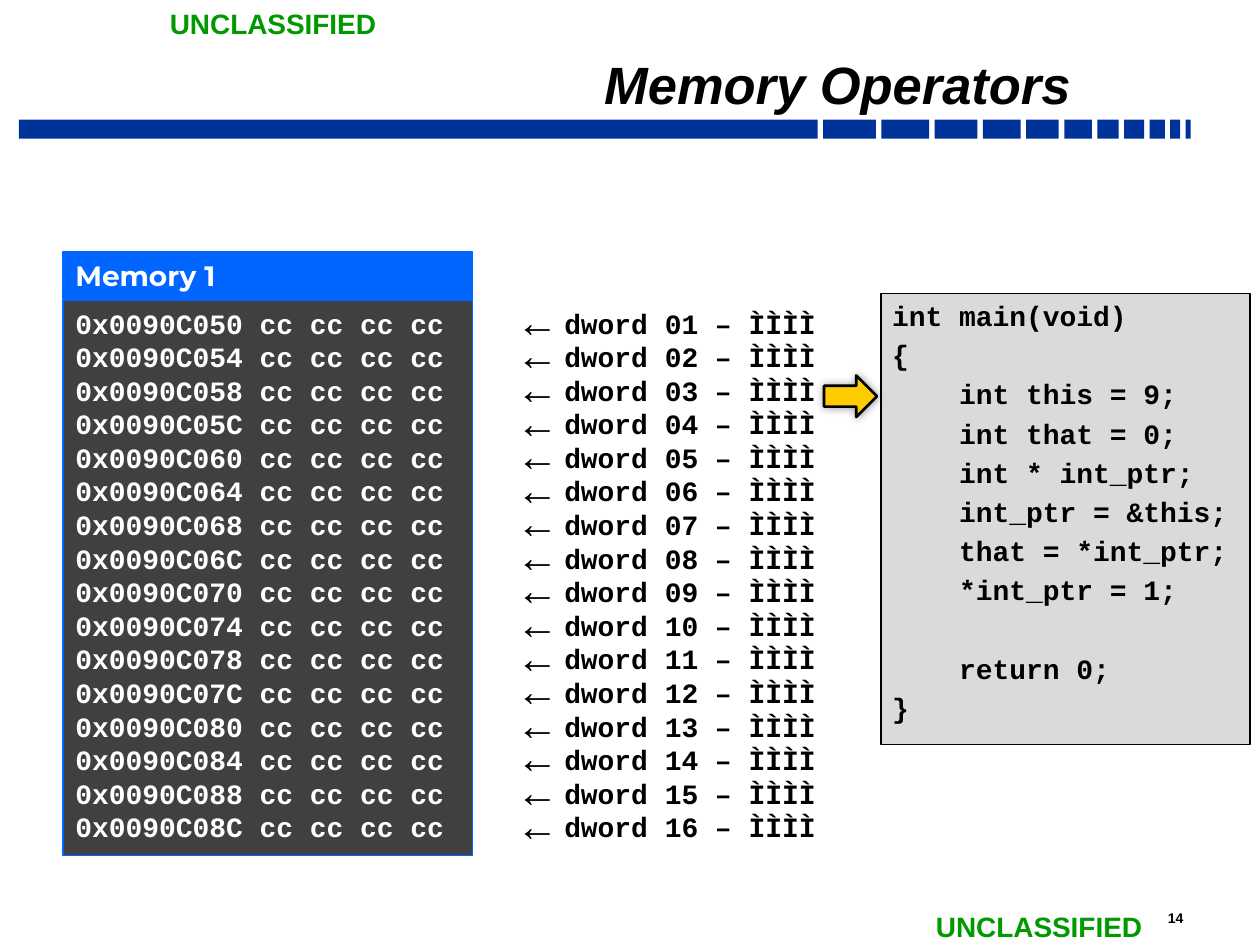
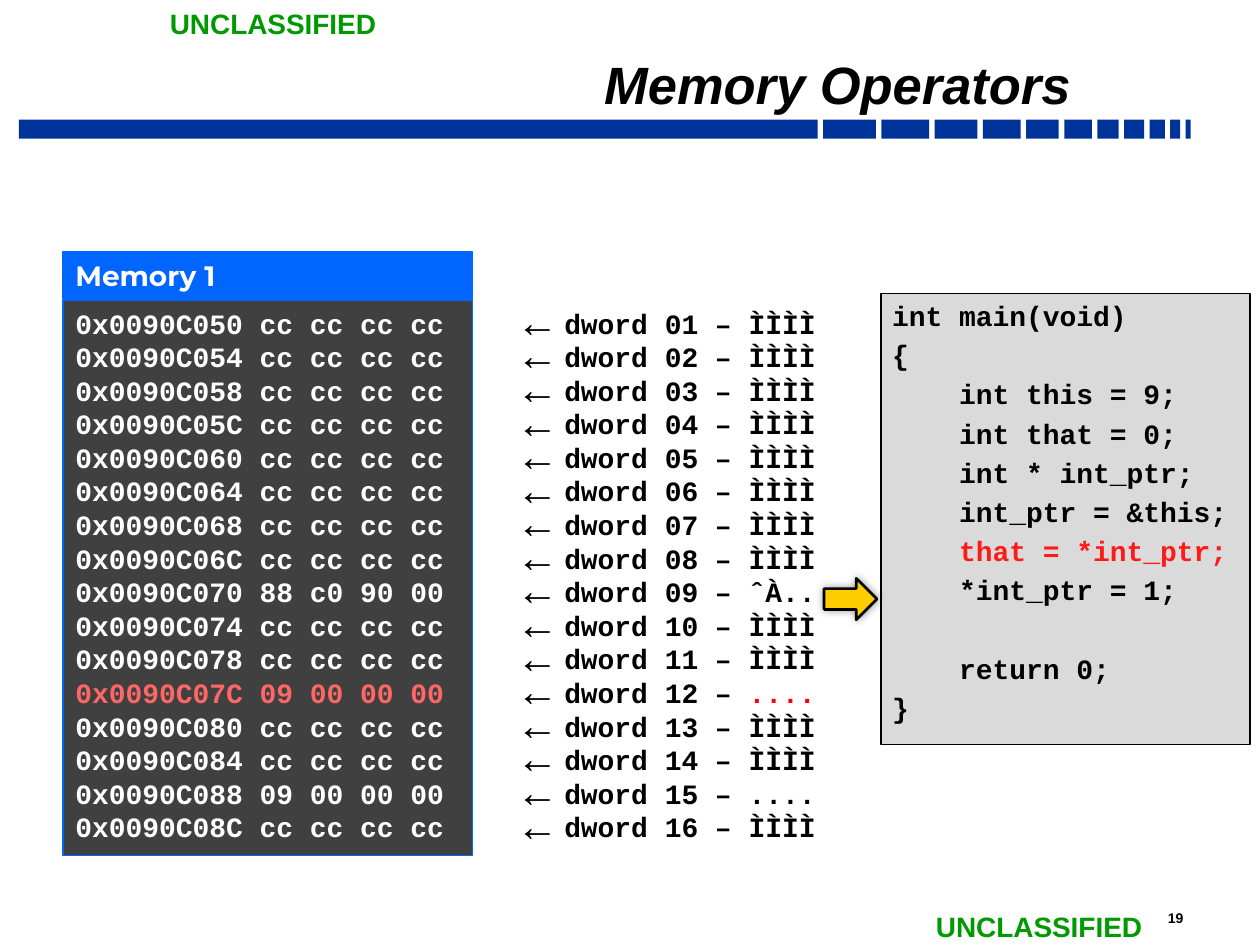
from dataclasses import dataclass

from lxml import etree
from pptx import Presentation
from pptx.dml.color import RGBColor
from pptx.enum import shapes, text
from pptx.oxml import ns
from pptx.util import Inches, Pt


@dataclass(frozen=True)
class Theme:
    band: str = "003399"
    marking: str = "009900"
    ink: str = "000000"
    paper: str = "FFFFFF"
    header: str = "0066FF"
    memory: str = "404040"
    code: str = "DADADA"
    pointer: str = "FFCC00"
    hot_memory: str = "FF6666"
    hot_dword: str = "FF0000"
    hot_code: str = "FF1A1A"
    sans: str = "Arial"
    mono: str = "Courier New"
    display: str = "Montserrat"
    title_size: int = 30
    text_size: int = 16
    number_size: int = 8


THEME = Theme()
ROWS = 16
FIRST_ADDRESS = 0x0090C050
UNTOUCHED = ("cc cc cc cc", "ÌÌÌÌ")
CODE = [
    "int main(void)",
    "{",
    "    int this = 9;",
    "    int that = 0;",
    "    int * int_ptr;",
    "    int_ptr = &this;",
    "    that = *int_ptr;",
    "    *int_ptr = 1;",
    "    return 0;",
    "}",
]
LINE_GAP = 3.2
BLANK_LINE = 22.4
STEPS = [
    {"number": 14, "pointer_top": 2.98, "changed": {}, "hot_row": None, "hot_line": None},
    {
        "number": 19,
        "pointer_top": 4.59,
        "changed": {
            8: ("88 c0 90 00", "ˆÀ.."),
            11: ("09 00 00 00", "...."),
            14: ("09 00 00 00", "...."),
        },
        "hot_row": 11,
        "hot_line": 6,
    },
]


def add_box(parent, kind, place, fill=None, line=None, weight=0.75):
    """Add a preset shape, or a text box when kind is None."""
    lengths = [Inches(value) for value in place]
    if kind is None:
        box = parent.add_textbox(*lengths)
    else:
        box = parent.add_shape(kind, *lengths)
        box.shadow.inherit = False
        box.fill.solid()
        box.fill.fore_color.rgb = RGBColor.from_string(fill)
        if line:
            box.line.color.rgb = RGBColor.from_string(line)
            box.line.width = Pt(weight)
        else:
            box.line.fill.background()
    box.text_frame.word_wrap = True
    box.text_frame.vertical_anchor = text.MSO_ANCHOR.TOP
    return box


def write_lines(frame, lines, font=THEME.sans, size=THEME.text_size, italic=False):
    """Write one paragraph per line; a line is a list of (words, colour) runs."""
    for index, runs in enumerate(lines):
        paragraph = frame.add_paragraph() if index else frame.paragraphs[0]
        paragraph.alignment = text.PP_ALIGN.LEFT
        for words, colour in runs:
            run = paragraph.add_run()
            run.text = words
            looks = {"name": font, "size": Pt(size), "bold": True, "italic": italic}
            for attribute, value in looks.items():
                setattr(run.font, attribute, value)
            run.font.color.rgb = RGBColor.from_string(colour)


RECT = shapes.MSO_SHAPE.RECTANGLE
deck = Presentation()
deck.slide_width, deck.slide_height = Inches(10), Inches(7.5)
layout = deck.slide_layouts[5]
slides = [deck.slides.add_slide(layout) for _ in STEPS]

# Band and markings are drawn once and handed to the shared layout
shared = []
band_widths = [6.34, 0.42, 0.38, 0.34, 0.3, 0.26, 0.22, 0.17, 0.16, 0.12, 0.08, 0.04]
band_left, band_right = 0.15, 9.45
band_gap = (band_right - band_left - sum(band_widths)) / (len(band_widths) - 1)
left = band_left
for width in band_widths:
    shared.append(add_box(slides[0].shapes, RECT, (left, 0.95, width, 0.15), THEME.band))
    left += width + band_gap
for left, top in [(1.25, 0), (7.33, 7.17)]:
    marking = add_box(slides[0].shapes, None, (left, top, 1.86, 0.37))
    marking.text_frame.word_wrap = False
    write_lines(marking.text_frame, [[("UNCLASSIFIED", THEME.marking)]])
    shared.append(marking)
for part in shared:
    layout.shapes.element.append(part.element)

for slide, step in zip(slides, STEPS):
    title = slide.shapes.title
    title.left, title.top, title.width, title.height = map(Inches, (1.67, 0.35, 6.92, 0.59))
    write_lines(title.text_frame, [[("Memory Operators", THEME.ink)]],
                size=THEME.title_size, italic=True)
    title_format = {
        "vertical_anchor": text.MSO_ANCHOR.BOTTOM,
        "auto_size": text.MSO_AUTO_SIZE.NONE,
        "margin_left": Inches(0.09), "margin_right": Inches(0.09),
        "margin_top": Inches(0.04), "margin_bottom": Inches(0.04),
    }
    for attribute, value in title_format.items():
        setattr(title.text_frame, attribute, value)
    title.text_frame.paragraphs[0].alignment = text.PP_ALIGN.RIGHT
    title.text_frame.paragraphs[0].line_spacing = 0.7

    number = add_box(slide.shapes, None, (9.17, 7.17, 0.54, 0.23))
    write_lines(number.text_frame, [[(str(step["number"]), THEME.ink)]], size=THEME.number_size)

    # Contents of memory, and the same rows read as characters
    memory_lines, dword_lines = [], []
    for row in range(ROWS):
        values, letters = step["changed"].get(row, UNTOUCHED)
        hot = row == step["hot_row"]
        memory_lines.append([(f"0x{FIRST_ADDRESS + 4 * row:08X} {values}",
                              THEME.hot_memory if hot else THEME.paper)])
        dword_lines.append([(f"dword {row + 1:02d} – ", THEME.ink),
                            (letters, THEME.hot_dword if hot else THEME.ink)])

    panel = slide.shapes.add_group_shape()
    header = add_box(panel.shapes, RECT, (0.5, 2, 3.25, 0.37), THEME.header, THEME.header)
    header.text_frame.vertical_anchor = text.MSO_ANCHOR.MIDDLE
    write_lines(header.text_frame, [[("Memory 1", THEME.paper)]], THEME.display)
    memory = add_box(panel.shapes, RECT, (0.5, 2.38, 3.25, 4.41), THEME.memory, THEME.header)
    write_lines(memory.text_frame, memory_lines, THEME.mono)

    dwords = add_box(slide.shapes, None, (4, 2.38, 5.68, 4.41))
    write_lines(dwords.text_frame, dword_lines, THEME.mono)
    for paragraph in dwords.text_frame.paragraphs:
        properties = paragraph._p.get_or_add_pPr()
        properties.set("marL", str(Inches(0.38)))
        properties.set("indent", str(Inches(-0.38)))
        bullet_colour = etree.SubElement(properties, ns.qn("a:buClr"))
        etree.SubElement(bullet_colour, ns.qn("a:srgbClr"), val=THEME.ink)
        etree.SubElement(properties, ns.qn("a:buSzPct"), val="150000")
        etree.SubElement(properties, ns.qn("a:buFont"), typeface=THEME.sans)
        etree.SubElement(properties, ns.qn("a:buChar"), char="←")

    code = add_box(slide.shapes, RECT, (6.99, 2.33, 2.93, 3.58), THEME.code, THEME.ink, 1)
    for side, margin in {"left": 0.09, "right": 0.09, "top": 0.04, "bottom": 0.04}.items():
        setattr(code.text_frame, f"margin_{side}", Inches(margin))
    write_lines(code.text_frame,
                [[(line, THEME.hot_code if index == step["hot_line"] else THEME.ink)]
                 for index, line in enumerate(CODE)], THEME.mono)
    for line, paragraph in zip(CODE[1:], code.text_frame.paragraphs[1:]):
        before_return = BLANK_LINE if "return" in line else 0
        paragraph.space_before = Pt(LINE_GAP + before_return)

    pointer = add_box(slide.shapes, shapes.MSO_SHAPE.RIGHT_ARROW,
                      (6.54, step["pointer_top"], 0.42, 0.33), THEME.pointer, THEME.ink, 1.5)
    effects = pointer.element.spPr.find(ns.qn("a:effectLst"))
    glow = etree.SubElement(effects, ns.qn("a:outerShdw"), blurRad=str(Pt(5)), dist="0", dir="0")
    glow_colour = etree.SubElement(glow, ns.qn("a:srgbClr"), val=THEME.ink)
    etree.SubElement(glow_colour, ns.qn("a:alpha"), val="40000")

deck.save("out.pptx")
